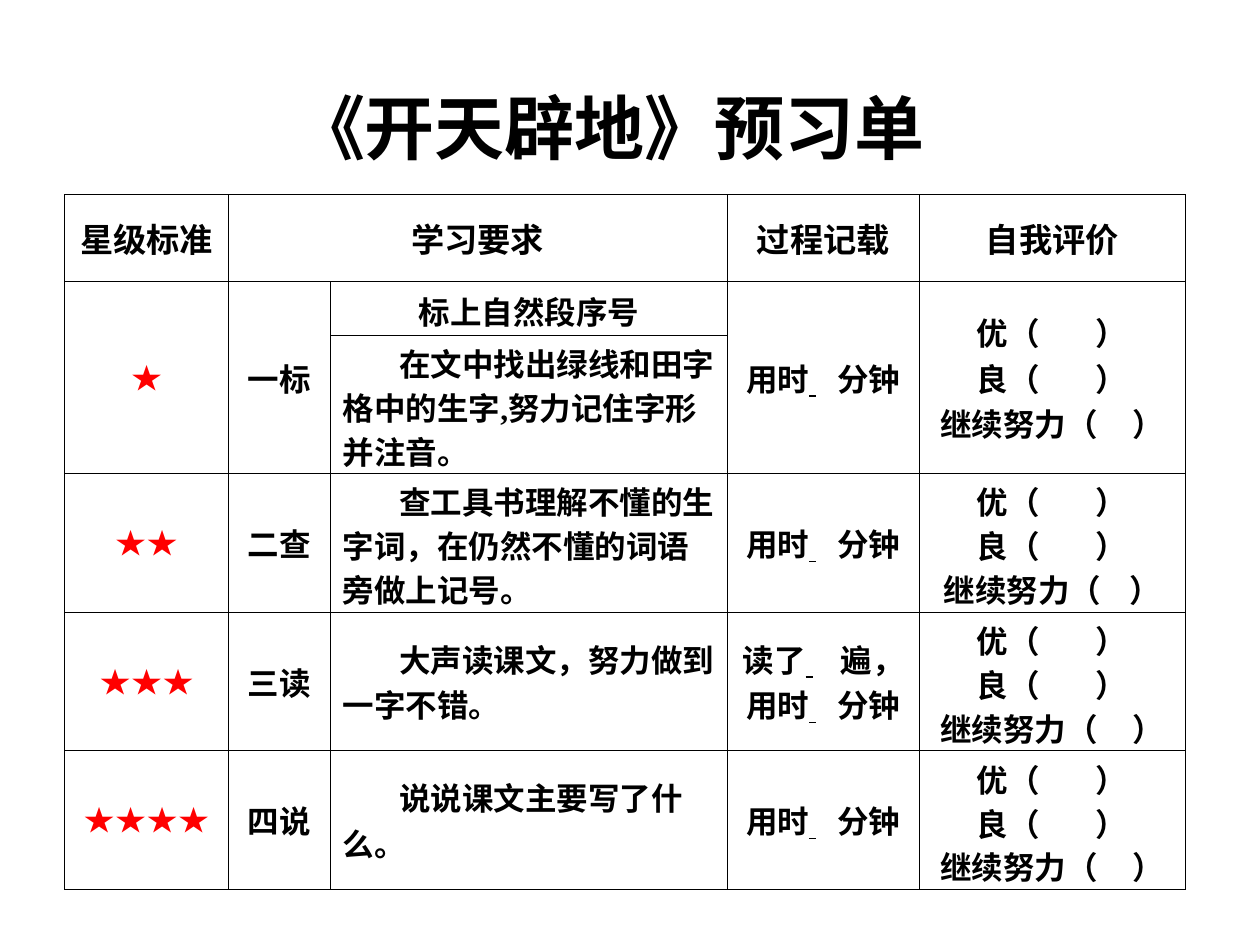
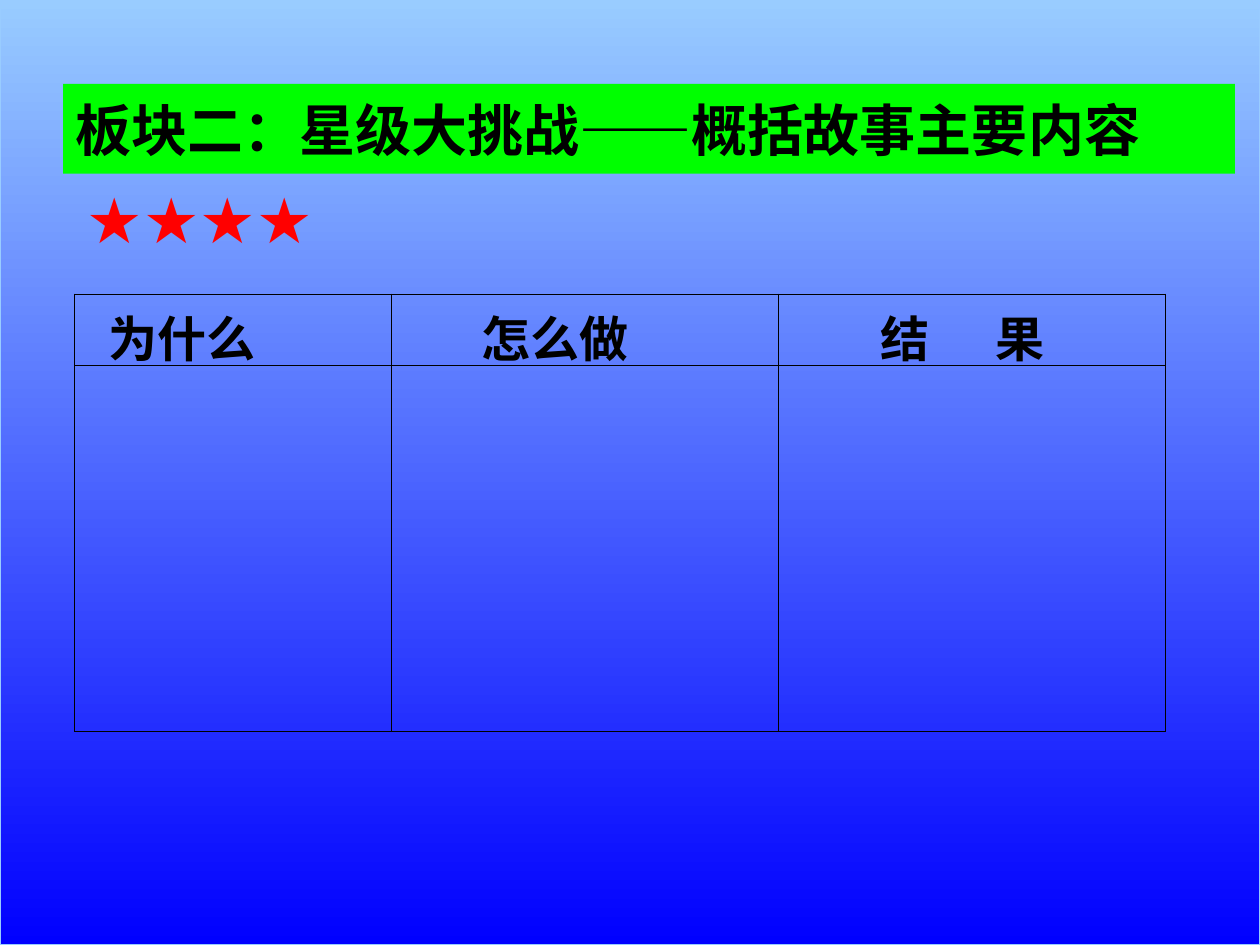
"""Build the preview worksheet and the story summary slide."""
from dataclasses import dataclass

from lxml import etree
from pptx import Presentation
from pptx.dml.color import RGBColor
from pptx.enum.shapes import MSO_SHAPE
from pptx.enum.text import MSO_ANCHOR, MSO_AUTO_SIZE, PP_ALIGN
from pptx.oxml.ns import qn
from pptx.util import Pt

RECT = MSO_SHAPE.RECTANGLE
MIDDLE, TOP = MSO_ANCHOR.MIDDLE, MSO_ANCHOR.TOP
LEFT, CENTER = PP_ALIGN.LEFT, PP_ALIGN.CENTER
NO_FIT = MSO_AUTO_SIZE.NONE
TITLE_ONLY = 5


@dataclass(frozen=True)
class Theme:
    """Colours, fonts and type sizes of the deck."""
    ink: str = "000000"
    star: str = "FF0000"
    band: str = "00FF00"
    sky: str = "99CCFF"
    deep: str = "0000FF"
    serif: str = "Times New Roman"
    sans: str = "Arial"
    body: int = 18
    head: int = 19
    label: int = 28
    banner: int = 32
    stars: int = 36
    title: int = 40
    rule: float = 0.45
    pitch: float = 25.1


THEME = Theme()


def rgb(code):
    """Turn a hex code into a colour."""
    return RGBColor.from_string(code)


def put(frame, text, *, size=THEME.body, font=THEME.serif, color=THEME.ink,
        bold=True, align=CENTER, indent=0, left=0, pitch=None):
    """Write paragraphs; a paragraph is a string or a list of (text, spacing) runs."""
    paras = text if isinstance(text, list) else [text]
    for i, para in enumerate(paras):
        p = frame.paragraphs[0] if i == 0 else frame.add_paragraph()
        p.alignment = align
        if pitch:
            p.line_spacing = Pt(pitch)
        props = p._p.get_or_add_pPr()
        props.set("marL", str(Pt(left)))
        props.set("indent", str(Pt(indent)))
        props.set("hangingPunct", "0")
        for words, gap in [(para, 0)] if isinstance(para, str) else para:
            run = p.add_run()
            run.text = words
            run.font.size = Pt(size)
            run.font.name = font
            run.font.bold = bold
            run.font.underline = words.isspace()
            run.font.color.rgb = rgb(color)
            if gap:
                run._r.get_or_add_rPr().set("spc", str(gap * 100))


def choice(name, gap):
    """Return a choice followed by empty brackets of a given width."""
    return [(name, 0), ("（", gap), ("）", 0)]


def blank(head, gap, tail):
    """Return words around an underlined blank."""
    return [(head, 0), (" ", gap), (tail, 0)]


class Deck:
    """Hold the theme and the current slide."""

    def __init__(self, theme):
        """Start an empty deck."""
        self.theme = theme
        self.prs = Presentation()
        self.prs.slide_width, self.prs.slide_height = Pt(720), Pt(540)
        self.slide = None

    def add(self):
        """Add a title-only slide."""
        layout = self.prs.slide_layouts[TITLE_ONLY]
        self.slide = self.prs.slides.add_slide(layout)

    def title(self, text, box, fill=None, **style):
        """Place and format the title above all earlier shapes."""
        shape = self.slide.shapes.title
        shape.left, shape.top, shape.width, shape.height = map(Pt, box)
        if fill:
            shape.fill.solid()
            shape.fill.fore_color.rgb = rgb(fill)
        frame = shape.text_frame
        frame.auto_size = NO_FIT
        frame.word_wrap = True
        frame.vertical_anchor = MIDDLE
        put(frame, text, **style)
        self.slide.shapes._spTree.append(shape._element)

    def backdrop(self):
        """Cover the slide with a vertical gradient."""
        size = self.prs.slide_width, self.prs.slide_height
        shape = self.slide.shapes.add_shape(RECT, 0, 0, *size)
        shape.shadow.inherit = False
        shape.fill.gradient()
        shape.fill.gradient_angle = 270
        shades = self.theme.sky, self.theme.deep
        for i, (stop, code) in enumerate(zip(shape.fill.gradient_stops, shades)):
            stop.position = i
            stop.color.rgb = rgb(code)
        shape.line.color.rgb = rgb(self.theme.sky)
        shape.line.width = Pt(0.75)

    def text(self, text, box, **style):
        """Add a text box."""
        frame = self.slide.shapes.add_textbox(*map(Pt, box)).text_frame
        frame.word_wrap = False
        frame.vertical_anchor = MIDDLE
        put(frame, text, **style)

    def table(self, spot, cols, rows, anchor):
        """Add a clear table with thin rules."""
        size = sum(cols), sum(rows)
        frame = self.slide.shapes.add_table(
            len(rows), len(cols), *map(Pt, (*spot, *size)))
        grid = frame.table
        grid.first_row = grid.horz_banding = False
        for col, width in zip(grid.columns, cols):
            col.width = Pt(width)
        for row, height in zip(grid.rows, rows):
            row.height = Pt(height)
        for cell in grid.iter_cells():
            cell.vertical_anchor = anchor
            self.border(cell)
            cell.fill.background()
        return grid

    def border(self, cell):
        """Draw the four sides of a cell."""
        props = cell._tc.get_or_add_tcPr()
        for side in "LRTB":
            line = etree.SubElement(props, qn("a:ln" + side),
                                    w=str(Pt(self.theme.rule)))
            fill = etree.SubElement(line, qn("a:solidFill"))
            etree.SubElement(fill, qn("a:srgbClr"), val=self.theme.ink)

    def cell(self, cell, text, tight=False, **style):
        """Write in a cell, which may be packed tight."""
        if tight:
            cell.margin_bottom = 0
            style["pitch"] = self.theme.pitch
        put(cell.text_frame, text, **style)


def preview(deck):
    """Build the preview worksheet."""
    theme = deck.theme
    deck.add()
    deck.title("《开天辟地》预习单", (127.4, 44.6, 442, 55.4), size=theme.title)
    grid = deck.table((36.9, 111.2), (93.6, 58.3, 226.8, 109.7, 152),
                      (49.6, 30.6, 79.2, 79.2, 79.2, 79.2), MIDDLE)
    grid.cell(0, 1).merge(grid.cell(0, 2))
    for col in (0, 1, 3, 4):
        grid.cell(1, col).merge(grid.cell(2, col))

    heads = {0: "星级标准", 1: "学习要求", 3: "过程记载", 4: "自我评价"}
    for col, head in heads.items():
        deck.cell(grid.cell(0, col), head, size=theme.head)
    deck.cell(grid.cell(1, 2), "标上自然段序号", tight=True)

    timing = blank("用时", 12, "分钟")
    reading = blank("读了", 16, "遍，")
    steps = [
        ("一标", "在文中找出绿线和田字格中的生字,努力记住字形并注音。", [timing], 20),
        ("二查", "查工具书理解不懂的生字词，在仍然不懂的词语旁做上记号。", [timing], 16),
        ("三读", "大声读课文，努力做到一字不错。", [reading, timing], 20),
        ("四说", "说说课文主要写了什么。", [timing], 20),
    ]
    for i, (step, task, record, gap) in enumerate(steps, 1):
        row = i + 1
        first = 1 if i == 1 else row
        deck.cell(grid.cell(first, 0), "★" * i, color=theme.star)
        deck.cell(grid.cell(first, 1), step)
        deck.cell(grid.cell(row, 2), task, tight=i < 3, align=LEFT, indent=32.2)
        deck.cell(grid.cell(first, 3), record)
        marks = [choice("优", 32), choice("良", 32), choice("继续努力", gap)]
        deck.cell(grid.cell(first, 4), marks, tight=i > 1)


def summary(deck):
    """Build the story summary slide."""
    theme = deck.theme
    deck.add()
    deck.backdrop()
    deck.text("★★★★", (42.5, 99.4, 158.4, 50.4), size=theme.stars,
              font=theme.sans, color=theme.star, bold=False, align=LEFT)
    grid = deck.table((42.5, 168), (181.2, 221.2, 221.2), (41, 208.8), TOP)
    heads = [("为什么", 12.5), ("怎么做", 44.5), ([[("结", 38), ("果", 0)]], 51)]
    for col, (head, left) in enumerate(heads):
        deck.cell(grid.cell(0, col), head, size=theme.label,
                  align=LEFT, left=left)
    deck.title("板块二：星级大挑战——概括故事主要内容", (36, 48, 669.6, 51.2),
               fill=theme.band, size=theme.banner, font=theme.sans, align=LEFT)


def main():
    """Build and save the deck."""
    deck = Deck(THEME)
    preview(deck)
    summary(deck)
    deck.prs.save("out.pptx")


if __name__ == "__main__":
    main()
